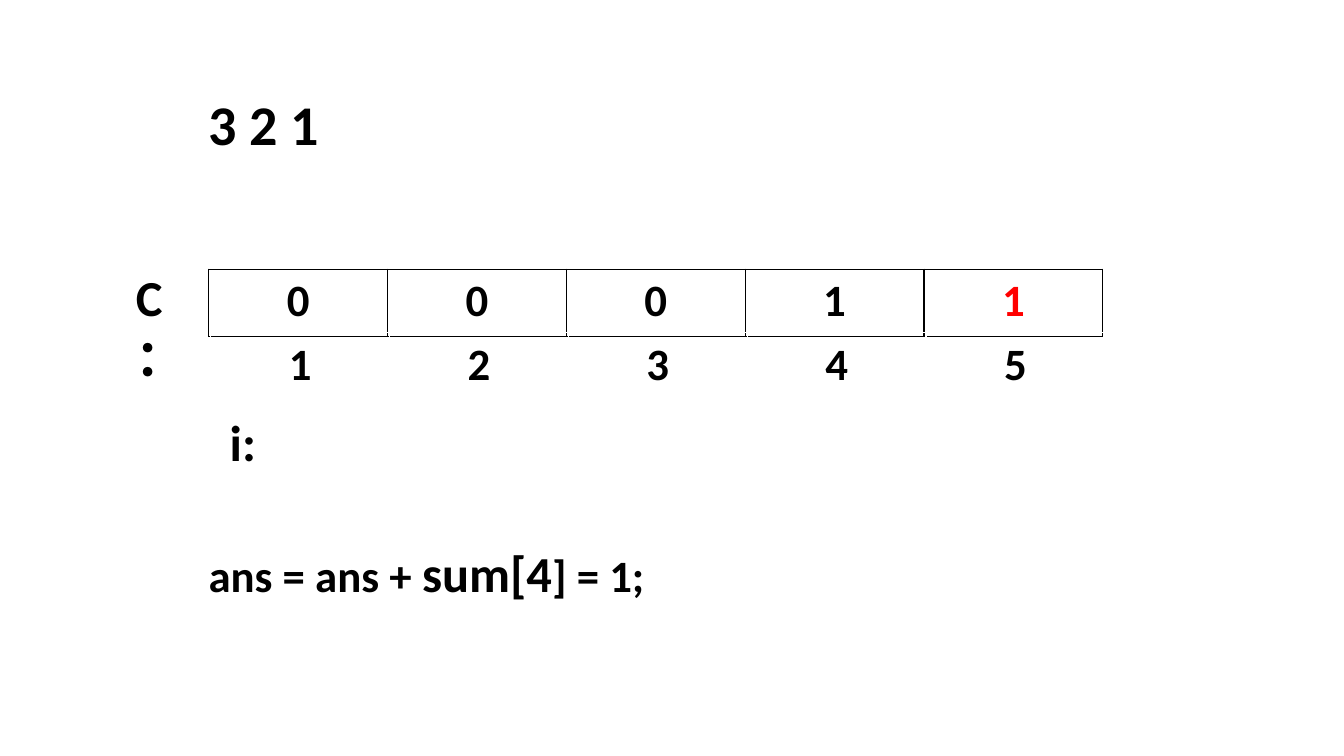
from lxml import etree
from pptx import Presentation
from pptx.dml.color import RGBColor
from pptx.enum.text import MSO_AUTO_SIZE, PP_ALIGN
from pptx.oxml.ns import qn
from pptx.util import Inches, Pt

CENTER = PP_ALIGN.CENTER
GROW = MSO_AUTO_SIZE.SHAPE_TO_FIT_TEXT
BLACK = RGBColor(0, 0, 0)
WHITE = RGBColor(255, 255, 255)
RED = RGBColor(255, 0, 0)
FONT = "Calibri"

COUNTS = [("0", BLACK), ("0", BLACK), ("0", BLACK), ("1", BLACK), ("1", RED)]
INDEX = [(str(n), BLACK) for n in range(1, 6)]
TABLES = [
    (2.07, 2.67, COUNTS, BLACK, 1),
    (2.09, 3.3, INDEX, WHITE, 3),
]
TEXTS = [
    (1.97, 0.84, 8.99, 0.78, [("3 2 1", 40)]),
    (1.97, 5.33, 9.01, 0.71, [("ans = ans + ", 32), ("sum[4", 36), ("] = 1;", 32)]),
    (1.25, 2.59, 0.95, 0.71, [("C：", 36)]),
    (2.18, 4.03, 0.83, 0.71, [("i:", 36)]),
]
WIDTH, HEIGHT = 8.87, 0.67


def add_run(para, text, size, color=BLACK):
    run = para.add_run()
    run.text = text
    font = run.font
    font.name, font.size, font.bold = FONT, Pt(size), True
    font.color.rgb = color


def add_edge(cell, side, color, width):
    props = cell._tc.get_or_add_tcPr()
    line = etree.SubElement(props, qn("a:" + side), w=str(Pt(width)))
    fill = etree.SubElement(line, qn("a:solidFill"))
    etree.SubElement(fill, qn("a:srgbClr"), val=str(color))


def add_row(slide, left, top, items, edge, base):
    frame = slide.shapes.add_table(
        1, len(items), Inches(left), Inches(top), Inches(WIDTH), Inches(HEIGHT))
    table = frame.table
    table.first_row = table.horz_banding = False
    for cell, (text, color) in zip(table.iter_cells(), items):
        for side, width in (("lnL", 1), ("lnR", 1), ("lnT", 1), ("lnB", base)):
            add_edge(cell, side, edge, width)
        cell.fill.background()
        para = cell.text_frame.paragraphs[0]
        para.alignment = CENTER
        add_run(para, text, 32, color)


def add_text(slide, left, top, width, height, runs):
    box = slide.shapes.add_textbox(
        Inches(left), Inches(top), Inches(width), Inches(height))
    frame = box.text_frame
    frame.word_wrap = True
    frame.auto_size = GROW
    for text, size in runs:
        add_run(frame.paragraphs[0], text, size)


def main():
    deck = Presentation()
    deck.slide_width, deck.slide_height = Inches(13.33), Inches(7.5)
    slide = deck.slides.add_slide(deck.slide_layouts[6])
    for row in TABLES:
        add_row(slide, *row)
    for text in TEXTS:
        add_text(slide, *text)
    deck.save("out.pptx")


if __name__ == "__main__":
    main()
